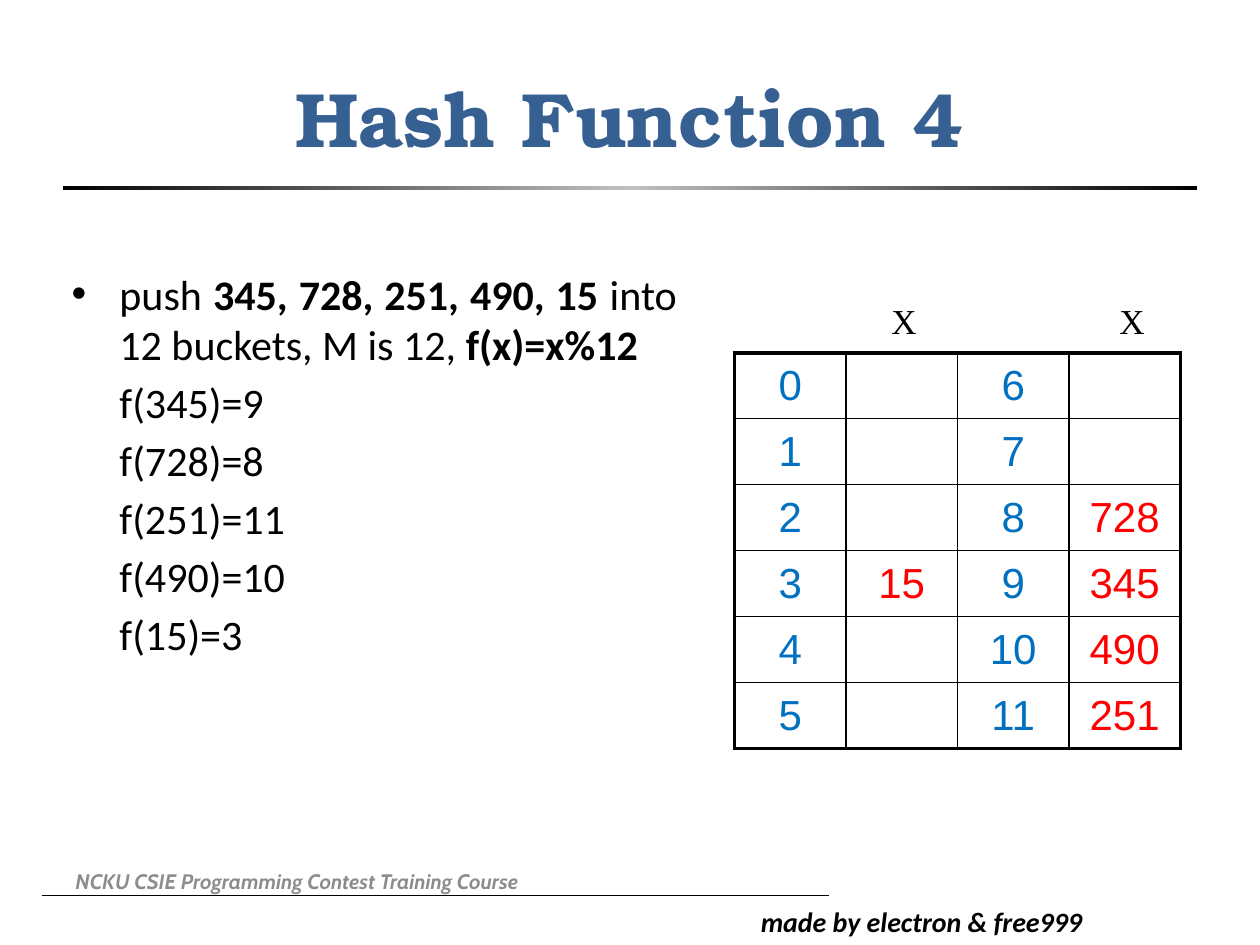
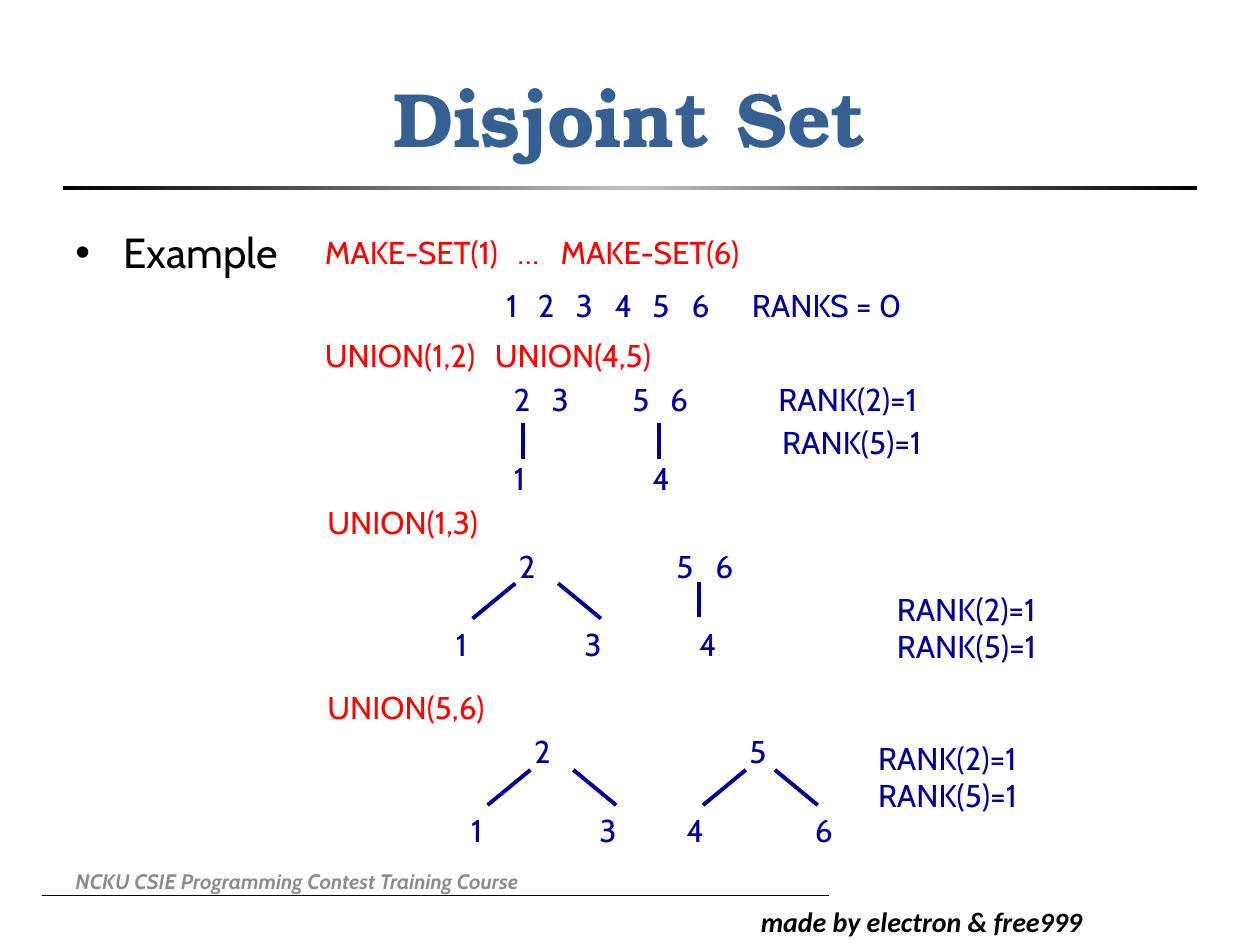
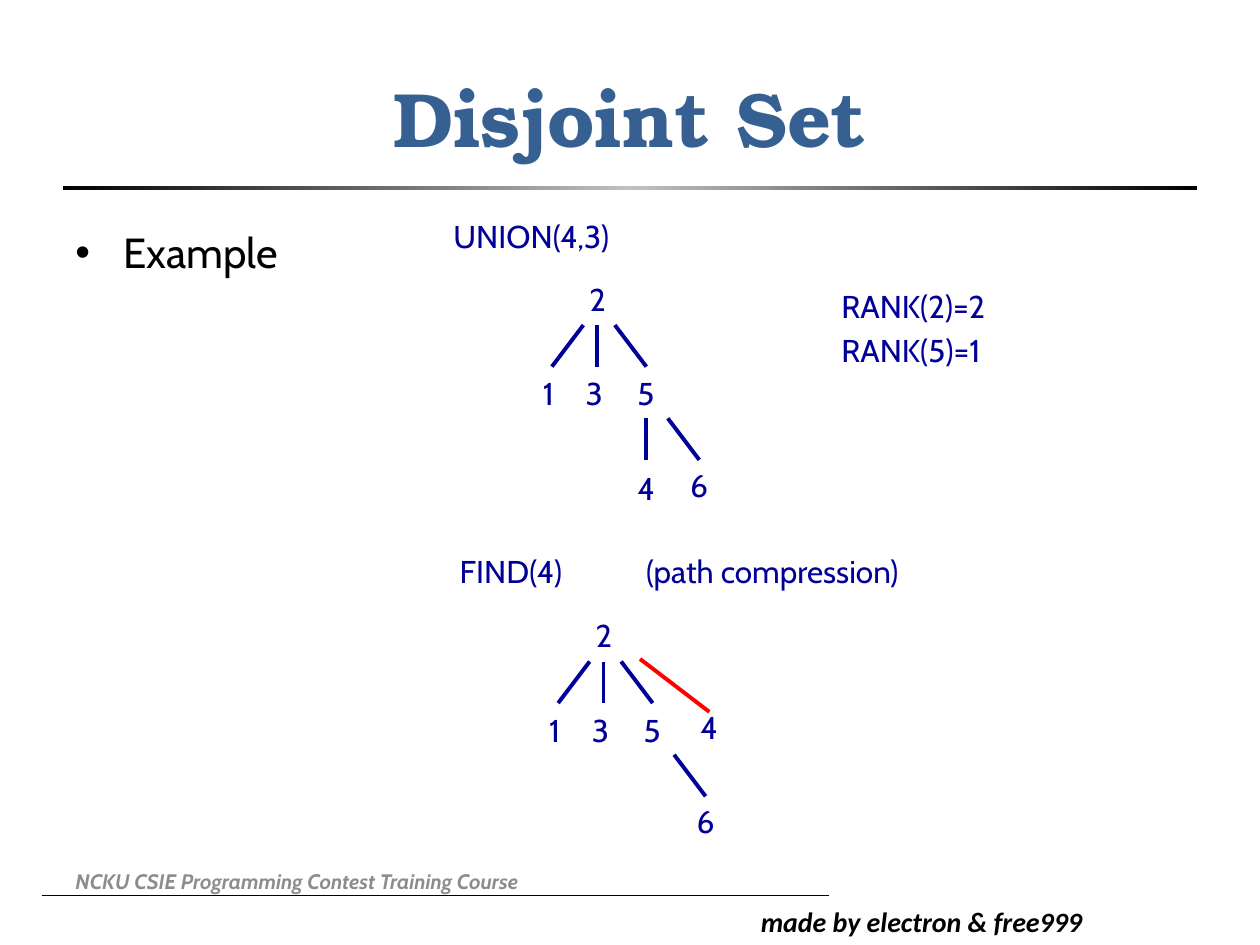
from lxml.etree import SubElement
from pptx import Presentation
from pptx.dml.color import RGBColor
from pptx.enum.shapes import MSO_CONNECTOR, MSO_SHAPE
from pptx.enum.text import MSO_ANCHOR, PP_ALIGN
from pptx.oxml.ns import qn
from pptx.util import Inches, Pt

BLACK, RED, NAVY = "000000", "FF0000", "000099"
TITLE_BLUE, KEY_BLUE, GRAY, SILVER = "376092", "0070C0", "8C8C8C", "C0C0C0"
INDENT = 0.38
color_of = RGBColor.from_string


def add_text(slide, box, paragraphs, size=18, color=NAVY, font="Cabin", italic=False,
             align=PP_ALIGN.LEFT, anchor=MSO_ANCHOR.TOP, bullet=False, tabs=()):
    """Paragraphs are lists of (text, bold) runs, or one string with a line for each."""
    if isinstance(paragraphs, str):
        paragraphs = [[(line, False)] for line in paragraphs.split("\n")]
    frame = slide.shapes.add_textbox(*[Inches(length) for length in box]).text_frame
    frame.word_wrap = True
    frame.vertical_anchor = anchor
    for index, runs in enumerate(paragraphs):
        paragraph = frame.add_paragraph() if index else frame.paragraphs[0]
        paragraph.alignment = align
        properties = paragraph._p.get_or_add_pPr()
        if bullet:
            properties.set("marL", str(Inches(INDENT)))
            if index:
                paragraph.space_before = Pt(4.3)
            else:
                properties.set("indent", str(-Inches(INDENT)))
                SubElement(properties, qn("a:buFont"), typeface="Arial")
                SubElement(properties, qn("a:buChar"), char="•")
        if tabs:
            tab_list = SubElement(properties, qn("a:tabLst"))
            for position in tabs:
                SubElement(tab_list, qn("a:tab"), pos=str(Inches(position)), algn="l")
        for text, bold in runs:
            run = paragraph.add_run()
            run.text = text
            run.font.name = font
            run.font.size = Pt(size)
            run.font.bold = bold
            run.font.italic = italic
            run.font.color.rgb = color_of(color)


def add_line(slide, x1, y1, x2, y2, color=NAVY, width=2.25):
    line = slide.shapes.add_connector(
        MSO_CONNECTOR.STRAIGHT, Inches(x1), Inches(y1), Inches(x2), Inches(y2))
    line.line.color.rgb = color_of(color)
    line.line.width = Pt(width)
    SubElement(line._element.spPr, qn("a:effectLst"))


presentation = Presentation()
presentation.slide_width = Inches(10)
presentation.slide_height = Inches(7.5)

# Shared parts: title, gradient rule, footers
slides = []
for title in ("Hash Function 4", "Disjoint Set", "Disjoint Set"):
    slide = presentation.slides.add_slide(presentation.slide_layouts[6])
    slides.append(slide)
    add_line(slide, 0.33, 7.11, 6.58, 7.11, BLACK, 0.5)
    add_text(slide, (5.94, 7.13, 3.07, 0.37), [[("made by electron & free999", True)]],
             16, BLACK, "Calibri", italic=True)
    rule = slide.shapes.add_shape(
        MSO_SHAPE.RECTANGLE, Inches(0.5), Inches(1.48), Inches(9), Inches(0.03))
    rule.shadow.inherit = False
    rule.line.fill.background()
    rule.fill.gradient()
    rule.fill.gradient_angle = 0
    stops = rule._element.spPr.find(".//" + qn("a:gsLst"))
    stops.clear()
    for percent, color in ((0, BLACK), (50, SILVER), (100, BLACK)):
        stop = SubElement(stops, qn("a:gs"), pos=str(percent * 1000))
        SubElement(stop, qn("a:srgbClr"), val=color)
    add_text(slide, (0.5, 0.3, 9, 1.25), [[(title, True)]], 44, TITLE_BLUE,
             "TeX Gyre Bonum", align=PP_ALIGN.CENTER, anchor=MSO_ANCHOR.MIDDLE)
    add_text(slide, (0.5, 6.79, 4.66, 0.4),
             [[("NCKU CSIE Programming Contest Training Course", True)]],
             12, GRAY, italic=True, anchor=MSO_ANCHOR.MIDDLE)
hash_slide, union_slide, find_slide = slides

# Hash function: worked values
values = (345, 728, 251, 490, 15)
buckets = 12
steps = [[("push ", False), ("345, 728, 251, 490, 15 ", True),
          ("into 12 buckets, M is 12, ", False), ("f(x)=x%12", True)]]
steps += [[(f"f({value})={value % buckets}", False)] for value in values]
add_text(hash_slide, (0.47, 2.08, 5, 4.07), steps, 24, BLACK, "Calibri",
         align=PP_ALIGN.JUSTIFY, bullet=True)

# Hash function: bucket table, each key column followed by its value column
rows, columns = 6, 4
stored = {value % buckets: value for value in values}
table_shape = hash_slide.shapes.add_table(
    rows, columns, Inches(5.83), Inches(2.8), Inches(3.54), Inches(3.14))
table = table_shape.table
table.first_row = table.horz_banding = False
for column in range(columns):
    table.columns[column].width = Inches(3.54 / columns)
for row in range(rows):
    table.rows[row].height = Inches(3.14 / rows)
    for column in range(columns):
        cell = table.cell(row, column)
        cell.fill.background()
        cell.vertical_anchor = MSO_ANCHOR.MIDDLE
        key = row + rows * (column // 2)
        is_key = column % 2 == 0
        paragraph = cell.text_frame.paragraphs[0]
        paragraph.alignment = PP_ALIGN.CENTER
        if is_key or key in stored:
            run = paragraph.add_run()
            run.text = str(key if is_key else stored[key])
            run.font.name = "Arial"
            run.font.size = Pt(24)
            run.font.color.rgb = color_of(KEY_BLUE if is_key else RED)
        cell_properties = cell._tc.get_or_add_tcPr()
        outer_sides = (("L", column == 0), ("R", column == columns - 1),
                       ("T", row == 0), ("B", row == rows - 1))
        for index, (side, outer) in enumerate(outer_sides):
            border = SubElement(cell_properties, qn("a:ln" + side),
                                w=str(Pt(2.25 if outer else 1)))
            border_fill = SubElement(border, qn("a:solidFill"))
            SubElement(border_fill, qn("a:srgbClr"), val=BLACK)
            cell_properties.insert(index, border)
for left in (6.86, 8.67):
    add_text(hash_slide, (left, 2.33, 0.63, 0.43), "X", 20, BLACK,
             "Times New Roman", align=PP_ALIGN.CENTER)

# Disjoint set: bullet on both slides
for slide in (union_slide, find_slide):
    add_text(slide, (0.5, 1.75, 9, 4.95), "Example", 24, BLACK,
             align=PP_ALIGN.JUSTIFY, bullet=True)

# Union steps: calls, set rows and ranks
for left, top, width, height, color, text, tabs in (
    (2.48, 1.8, 3.72, 0.4, RED, "MAKE-SET(1)\t…\tMAKE-SET(6)", (1.53, 1.87)),
    (3.92, 2.22, 3.64, 0.45, NAVY, "1\t2\t3\t4\t5\t6\tRANKS = 0",
     (0.25, 0.55, 0.86, 1.16, 1.47, 1.95)),
    (2.48, 2.62, 3.05, 0.4, RED, "UNION(1,2)\tUNION(4,5)", (1.35,)),
    (3.98, 2.97, 4.85, 0.45, NAVY, "2\t3\t5\t6\tRANK(2)=1", (0.3, 0.94, 1.24, 2.1)),
    (6.11, 3.31, 2.01, 0.33, NAVY, "RANK(5)=1", ()),
    (2.5, 3.94, 1.52, 0.4, RED, "UNION(1,3)", ()),
    (4.02, 4.29, 4.49, 0.4, NAVY, "2\t5\t6", (1.25, 1.56)),
    (7.02, 4.63, 1.54, 0.71, NAVY, "RANK(2)=1\nRANK(5)=1", ()),
    (2.5, 5.41, 1.52, 0.4, RED, "UNION(5,6)", ()),
    (6.87, 5.82, 2.01, 0.33, NAVY, "RANK(2)=1", ()),
    (6.87, 6.11, 2.01, 0.33, NAVY, "RANK(5)=1", ()),
):
    add_text(union_slide, (left, top, width, height), text, color=color, tabs=tabs)

# Union steps: trees with one child
for x, y, child, child_left, child_top in (
    (4.15, 3.36, "1", 3.98, 3.59), (5.23, 3.36, "4", 5.08, 3.59), (5.55, 4.62, "4", 5.45, 4.91),
):
    add_line(union_slide, x, y, x, y + 0.28)
    add_text(union_slide, (child_left, child_top, 0.46, 0.33), child)

# Union steps: trees with two children
for x, y, gap, root, left_child, right_child in (
    (4.09, 4.63, 0.34, "", "1", "3"),
    (4.21, 6.11, 0.34, "2", "1", "3"),
    (5.92, 6.11, 0.23, "5", "4", "6"),
):
    add_line(union_slide, x, y, x - 0.34, y + 0.28)
    add_line(union_slide, x + gap, y, x + gap + 0.34, y + 0.28)
    for text, dx, dy in ((root, -0.07, -0.35), (left_child, -0.57, 0.28),
                         (right_child, 0.45, 0.28)):
        if text:
            add_text(union_slide, (x + dx, y + dy, 0.46, 0.33), text)

# Find steps: calls and ranks
for left, top, width, text, tabs in (
    (3.5, 1.67, 1.51, "UNION(4,3)", ()),
    (6.58, 2.23, 1.47, "RANK(2)=2", ()),
    (6.58, 2.58, 1.47, "RANK(5)=1", ()),
    (3.55, 4.33, 4.11, "FIND(4)\t(path compression)", (1.48,)),
):
    add_text(find_slide, (left, top, width, 0.4), text, tabs=tabs)

# Find steps: the tree before and after path compression
for x, y in ((4.74, 2.58), (4.79, 5.25)):
    for x1, y1, x2 in ((-0.11, 0, -0.36), (0, 0, 0), (0.14, 0, 0.39), (0.56, 0.74, 0.81)):
        add_line(find_slide, x + x1, y + y1, x + x2, y + y1 + 0.33)
    for text, dx, dy in (("2", -0.16, -0.41), ("1", -0.53, 0.34), ("3", -0.19, 0.34),
                         ("5", 0.22, 0.34), ("6", 0.64, 1.07)):
        add_text(find_slide, (x + dx, y + dy, 0.34, 0.4), text)

# Find steps: node 4 under 5, then moved to the root
add_line(find_slide, 5.13, 3.32, 5.13, 3.65)
add_line(find_slide, 5.08, 5.23, 5.63, 5.65, RED)
for left, top in ((4.96, 3.67), (5.46, 5.57)):
    add_text(find_slide, (left, top, 0.34, 0.4), "4")

presentation.save("out.pptx")
